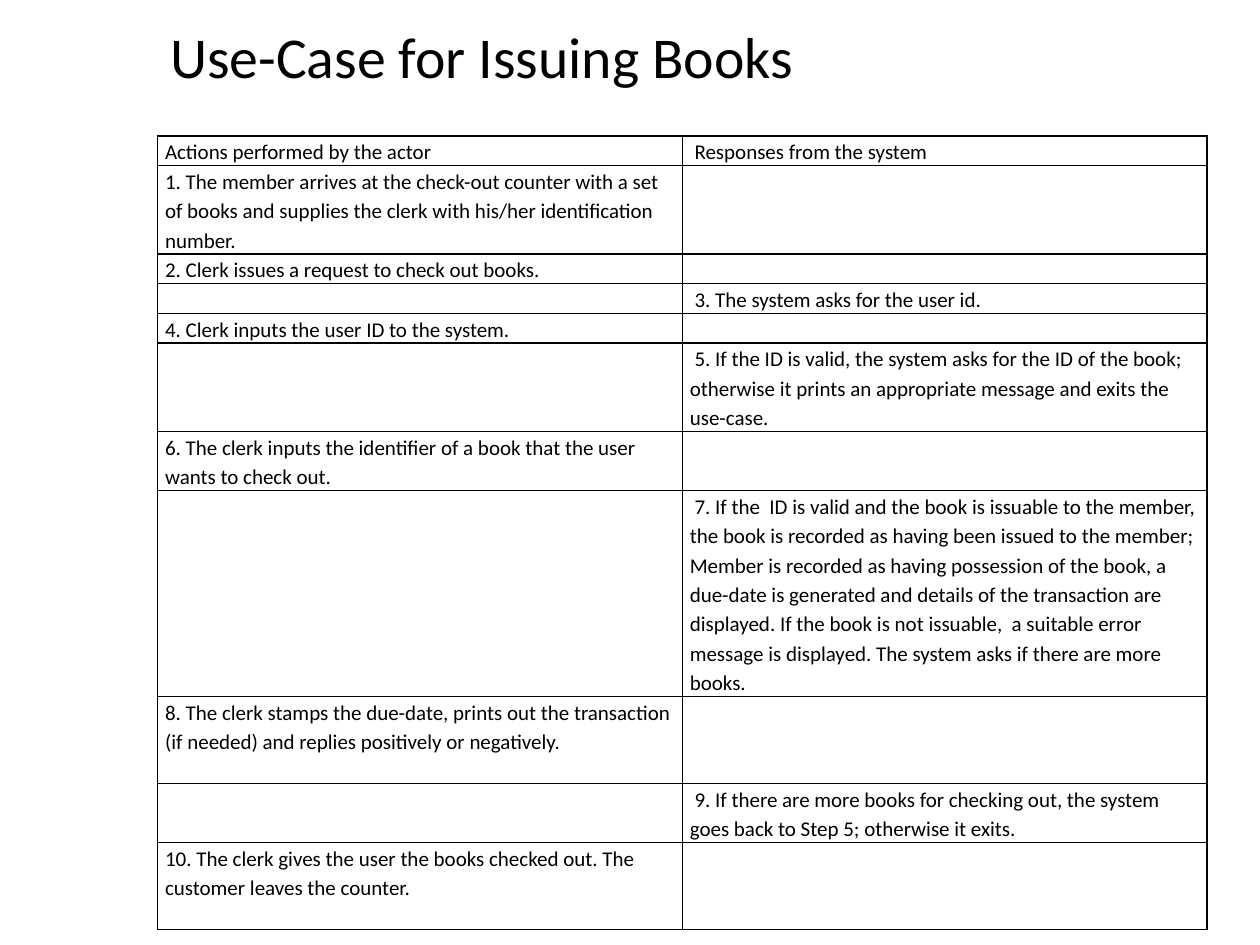
import pptx
import pptx.dml.color
import pptx.enum.text
import pptx.oxml
import pptx.oxml.ns
import pptx.util
from dataclasses import dataclass
from pptx.util import Inches

FONT = "Calibri"
BLACK = "000000"
WHITE = "FFFFFF"
TEXT_SIZE = 12
LEFT, WIDTH = 1.25, 8.33


@dataclass
class Step:
    height: float
    actor: str = ""
    system: str = ""


STEPS = [
    Step(0.23, "Actions performed by the actor", " Responses from the system"),
    Step(0.7, "1. The member arrives at the check-out counter with a set of books "
              "and supplies the clerk with his/her identification number."),
    Step(0.23, "2. Clerk issues a request to check out books."),
    Step(0.24, system=" 3. The system asks for the user id."),
    Step(0.23, "4. Clerk inputs the user ID to the system."),
    Step(0.7, system=" 5. If the ID is valid, the system asks for the ID of the book; "
                     "otherwise it prints an appropriate message and exits the use-case."),
    Step(0.47, "6. The clerk inputs the identifier of a book that the user wants to check out."),
    Step(1.63, system=" 7. If the  ID is valid and the book is issuable to the member, "
                      "the book is recorded as having been issued to the member; "
                      "Member is recorded as having possession of the book, a due-date "
                      "is generated and details of the transaction are displayed. "
                      "If the book is not issuable,  a suitable error message is displayed. "
                      "The system asks if there are more books."),
    Step(0.69, "8. The clerk stamps the due-date, prints out the transaction (if needed) "
               "and replies positively or negatively."),
    Step(0.47, system=" 9. If there are more books for checking out, the system goes back "
                      "to Step 5; otherwise it exits."),
    Step(0.69, "10. The clerk gives the user the books checked out. "
               "The customer leaves the counter."),
]


def color(value: str) -> pptx.dml.color.RGBColor:
    return pptx.dml.color.RGBColor.from_string(value)


def style_paragraph(paragraph, size: float, spacing: float) -> None:
    paragraph.line_spacing = spacing
    paragraph.font.size = pptx.util.Pt(size)
    paragraph.font.name = FONT
    paragraph.font.color.rgb = color(BLACK)


def add_borders(cell) -> None:
    properties = cell._tc.get_or_add_tcPr()
    for side in ("lnL", "lnR", "lnT", "lnB"):
        properties.append(pptx.oxml.parse_xml(
            f'<a:{side} {pptx.oxml.ns.nsdecls("a")} w="12700"><a:solidFill>'
            f'<a:srgbClr val="{BLACK}"/></a:solidFill></a:{side}>'))


def fill_cell(cell, text: str) -> None:
    add_borders(cell)
    cell.fill.solid()
    cell.fill.fore_color.rgb = color(WHITE)
    cell.margin_left = cell.margin_right = Inches(0.06)
    cell.margin_top = cell.margin_bottom = 0
    paragraph = cell.text_frame.paragraphs[0]
    if text:
        paragraph.text = text
    style_paragraph(paragraph, TEXT_SIZE, 1.15)
    if not text:
        # Keeps empty cells from stretching their row
        paragraph._p.append(pptx.oxml.parse_xml(
            f'<a:endParaRPr {pptx.oxml.ns.nsdecls("a")} sz="{TEXT_SIZE * 100}"/>'))


def add_title(page, text: str) -> None:
    title = page.shapes.title
    title.left, title.top = Inches(LEFT), Inches(0)
    title.width, title.height = Inches(WIDTH), Inches(0.95)
    title.text_frame.text = text
    title.text_frame.vertical_anchor = pptx.enum.text.MSO_ANCHOR.MIDDLE
    paragraph = title.text_frame.paragraphs[0]
    paragraph.alignment = pptx.enum.text.PP_ALIGN.LEFT
    style_paragraph(paragraph, 33, 0.9)


def add_steps(page, steps: list[Step]) -> None:
    height = sum(step.height for step in steps)
    table = page.shapes.add_table(len(steps), 2, Inches(LEFT), Inches(1.08),
                                  Inches(WIDTH), Inches(height)).table
    table.first_row = table.horz_banding = False
    for row, step in zip(table.rows, steps):
        row.height = Inches(step.height)
        for cell, text in zip(row.cells, (step.actor, step.system)):
            fill_cell(cell, text)


def main() -> None:
    deck = pptx.Presentation()
    deck.slide_width, deck.slide_height = Inches(10), Inches(7.5)
    page = deck.slides.add_slide(deck.slide_layouts[5])

    # Heading
    add_title(page, "Use-Case for Issuing Books")

    # Actor and system steps
    add_steps(page, STEPS)

    deck.save("out.pptx")


if __name__ == "__main__":
    main()
